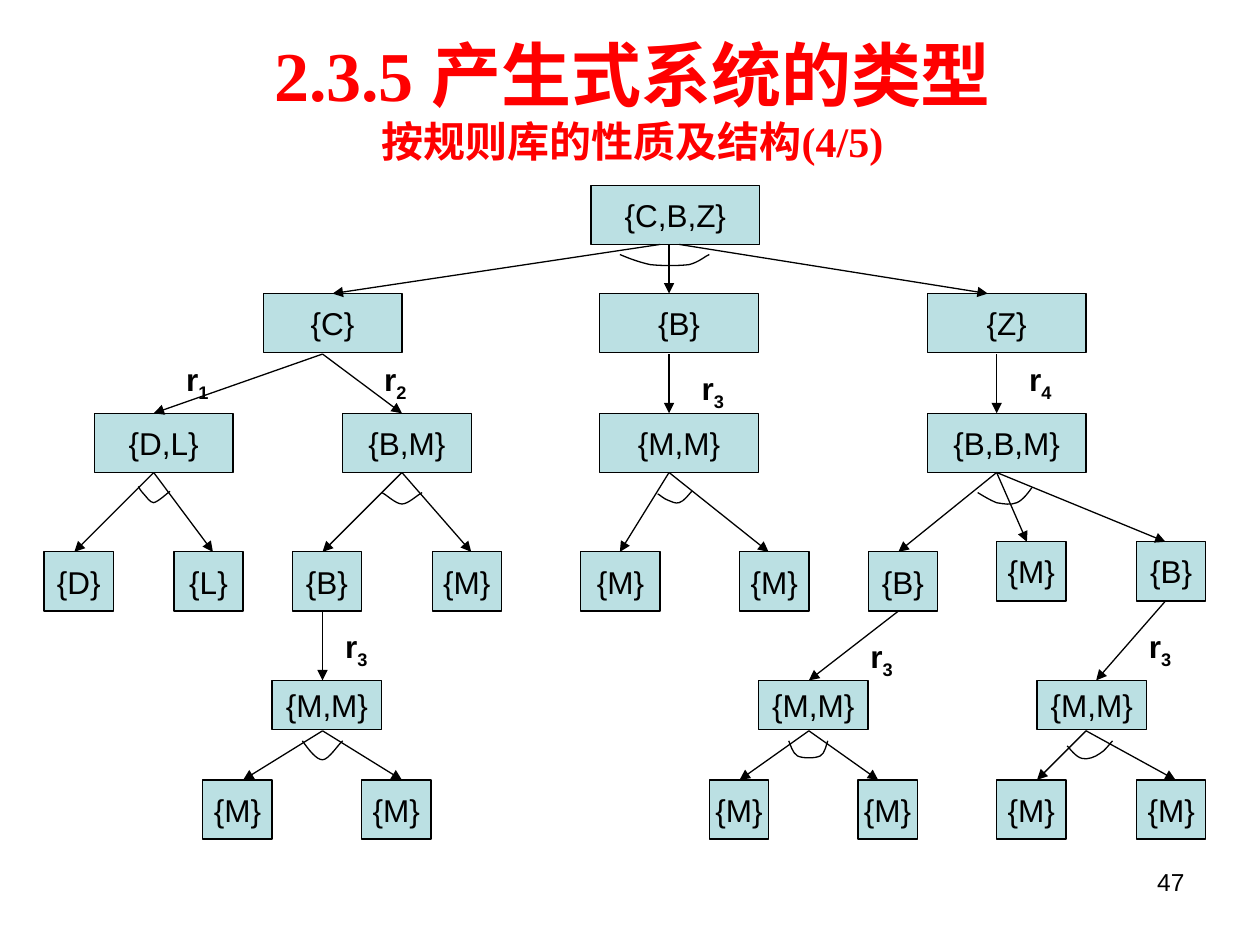
from lxml import etree
from pptx import Presentation
from pptx.dml.color import RGBColor
from pptx.enum.shapes import MSO_CONNECTOR, MSO_SHAPE
from pptx.enum.text import MSO_ANCHOR, MSO_AUTO_SIZE, PP_ALIGN
from pptx.oxml.ns import qn
from pptx.util import Inches, Pt

STRAIGHT, RECTANGLE = MSO_CONNECTOR.STRAIGHT, MSO_SHAPE.RECTANGLE
LEFT, CENTER, RIGHT = PP_ALIGN.LEFT, PP_ALIGN.CENTER, PP_ALIGN.RIGHT
TOP, MIDDLE = MSO_ANCHOR.TOP, MSO_ANCHOR.MIDDLE
NO_FIT = MSO_AUTO_SIZE.NONE
BLACK, RED, PALE_BLUE = "000000", "FF0000", "BBE0E3"


def color(hex_value):
    return RGBColor.from_string(hex_value)


def write(frame, text, *, size=18, font="Arial", ink=BLACK, bold=False,
          align=LEFT, anchor=TOP, wrap=True):
    """Append a run to the frame's first paragraph and return the run."""
    frame.auto_size = NO_FIT
    frame.word_wrap = wrap
    frame.vertical_anchor = anchor
    para = frame.paragraphs[0]
    para.alignment = align
    span = para.add_run()
    span.text = text
    span.font.size = Pt(size)
    span.font.name = font
    span.font.bold = bold
    span.font.color.rgb = color(ink)
    return span


deck = Presentation()
deck.slide_width, deck.slide_height = Inches(10), Inches(7.5)
page = deck.slides.add_slide(deck.slide_layouts[5])
shapes = page.shapes

# Title with subtitle on its second line
title = shapes.title
title.left, title.top = Inches(0.35), Inches(0.21)
title.width, title.height = Inches(9.34), Inches(1.15)
heading = dict(font="Times New Roman", ink=RED, bold=True, align=CENTER, anchor=MIDDLE)
write(title.text_frame, "2.3.5 产生式系统的类型", size=40, **heading)
title.text_frame.paragraphs[0].add_line_break()
write(title.text_frame, "按规则库的性质及结构(4/5)", size=24, **heading)

# Slide number
number = shapes.add_textbox(Inches(7.17), Inches(6.83), Inches(2.33), Inches(0.52))
write(number.text_frame, "47", size=14, align=RIGHT)

# Tree nodes, one row per level: top, height, then (left, width, text)
levels = [
    (1.47, 0.47, [(4.69, 1.34, "{C,B,Z}")]),
    (2.33, 0.47, [(2.09, 1.1, "{C}"), (4.76, 1.26, "{B}"), (7.36, 1.26, "{Z}")]),
    (3.28, 0.47, [(0.75, 1.1, "{D,L}"), (2.72, 1.02, "{B,M}"),
                  (4.76, 1.26, "{M,M}"), (7.36, 1.26, "{B,B,M}")]),
    (4.38, 0.47, [(0.35, 0.55, "{D}"), (1.38, 0.55, "{L}"), (2.32, 0.55, "{B}"),
                  (3.43, 0.55, "{M}"), (4.61, 0.63, "{M}"), (5.87, 0.55, "{M}"),
                  (6.89, 0.55, "{B}")]),
    (4.3, 0.47, [(7.91, 0.55, "{M}"), (9.02, 0.55, "{B}")]),
    (5.4, 0.39, [(2.16, 0.87, "{M,M}"), (6.02, 0.87, "{M,M}"), (8.23, 0.87, "{M,M}")]),
    (6.19, 0.47, [(1.61, 0.55, "{M}"), (2.87, 0.55, "{M}"), (5.63, 0.47, "{M}"),
                  (6.81, 0.47, "{M}"), (7.91, 0.55, "{M}"), (9.02, 0.55, "{M}")]),
]
for top, height, nodes in levels:
    for left, width, text in nodes:
        box = shapes.add_shape(RECTANGLE, Inches(left), Inches(top),
                               Inches(width), Inches(height))
        box.shadow.inherit = False
        box.fill.solid()
        box.fill.fore_color.rgb = color(PALE_BLUE)
        box.line.color.rgb = color(BLACK)
        box.line.width = Pt(0.75)
        write(box.text_frame, text, align=CENTER, anchor=MIDDLE, wrap=False)

# Arrows fanning out from each parent: start, then ends
fans = [
    ((5.24, 1.94), [(2.64, 2.33)]),
    ((5.31, 1.94), [(5.31, 2.33)]),
    ((5.39, 1.94), [(7.84, 2.33)]),
    ((2.56, 2.81), [(1.22, 3.28), (3.19, 3.28)]),
    ((5.31, 2.81), [(5.31, 3.28)]),
    ((7.91, 2.81), [(7.91, 3.28)]),
    ((1.22, 3.75), [(0.59, 4.38), (1.69, 4.38)]),
    ((3.19, 3.75), [(2.56, 4.38), (3.74, 4.38)]),
    ((5.31, 3.75), [(4.92, 4.38), (6.1, 4.38)]),
    ((7.91, 3.75), [(7.13, 4.38), (8.15, 4.3), (9.25, 4.3)]),
    ((2.56, 4.85), [(2.56, 5.4)]),
    ((7.13, 4.85), [(6.42, 5.4)]),
    ((9.25, 4.77), [(8.7, 5.4)]),
    ((2.56, 5.8), [(1.93, 6.19), (3.19, 6.19)]),
    ((6.42, 5.8), [(5.87, 6.19), (6.97, 6.19)]),
    ((8.62, 5.8), [(8.23, 6.19), (9.33, 6.19)]),
]
for start, ends in fans:
    for end in ends:
        arrow = shapes.add_connector(STRAIGHT, *map(Inches, start + end))
        arrow.line.color.rgb = color(BLACK)
        arrow.line.width = Pt(0.75)
        properties = arrow._element.spPr
        etree.SubElement(properties.find(qn("a:ln")), qn("a:tailEnd"), type="triangle")
        etree.SubElement(properties, qn("a:effectLst"))

# AND arcs: a start point, then three points for each Bezier segment
arcs = [
    [(4.92, 2.02), (4.99, 2.05), (5.07, 2.08), (5.16, 2.1), (5.25, 2.11),
     (5.39, 2.11), (5.47, 2.1), (5.55, 2.08), (5.6, 2.03), (5.63, 2.02)],
    [(1.1, 3.86), (1.1, 3.87), (1.12, 3.9), (1.14, 3.92), (1.16, 3.94),
     (1.19, 3.99), (1.22, 3.99), (1.26, 3.98), (1.32, 3.92), (1.35, 3.9)],
    [(3.03, 3.91), (3.06, 3.92), (3.14, 4), (3.19, 4), (3.24, 4),
     (3.31, 3.93), (3.35, 3.91)],
    [(5.22, 3.92), (5.24, 3.93), (5.27, 3.96), (5.3, 3.97), (5.33, 3.98),
     (5.36, 4), (5.39, 3.99), (5.43, 3.98), (5.47, 3.92), (5.49, 3.9)],
    [(7.76, 3.91), (7.81, 3.94), (7.86, 3.97), (7.91, 3.99), (7.97, 4),
     (8.02, 4.01), (8.07, 3.99), (8.12, 3.97), (8.17, 3.9), (8.19, 3.87)],
    [(2.4, 5.88), (2.45, 5.95), (2.51, 6.03), (2.56, 6.03), (2.61, 6.03),
     (2.69, 5.9), (2.72, 5.88)],
    [(6.26, 5.88), (6.27, 5.9), (6.29, 5.98), (6.33, 6), (6.37, 6.02),
     (6.47, 6.02), (6.51, 6), (6.55, 5.98), (6.56, 5.9), (6.57, 5.88)],
    [(8.47, 5.92), (8.49, 5.94), (8.54, 6.01), (8.59, 6.02), (8.63, 6.03),
     (8.69, 6.01), (8.73, 5.98), (8.77, 5.96), (8.81, 5.9), (8.83, 5.88)],
]
for points in arcs:
    start, *controls = [(Inches(x), Inches(y)) for x, y in points]
    builder = shapes.build_freeform(*start)
    builder.add_line_segments(controls, close=False)
    arc = builder.convert_to_shape()
    arc.shadow.inherit = False
    arc.fill.background()
    arc.line.color.rgb = color(BLACK)
    arc.line.width = Pt(0.75)
    # Merge every three straight segments into one curve
    outline = next(arc._element.iter(qn("a:path")))
    segments = outline.findall(qn("a:lnTo"))
    for first in range(0, len(segments), 3):
        curve = etree.SubElement(outline, qn("a:cubicBezTo"))
        for segment in segments[first:first + 3]:
            curve.append(segment[0])
            outline.remove(segment)

# Rule labels: left, top, width, subscript
labels = [
    (1.38, 2.81, 0.47, "1"), (2.95, 2.81, 0.55, "2"), (5.47, 2.88, 0.47, "3"),
    (8.07, 2.81, 0.47, "4"), (2.64, 4.93, 0.47, "3"), (6.81, 5.01, 0.47, "3"),
    (9.02, 4.93, 0.55, "3"),
]
for left, top, width, index in labels:
    label = shapes.add_textbox(Inches(left), Inches(top), Inches(width), Inches(0.44))
    write(label.text_frame, "r", bold=True)
    subscript = write(label.text_frame, index, bold=True)
    subscript.font._element.set("baseline", "-25000")

deck.save("out.pptx")
